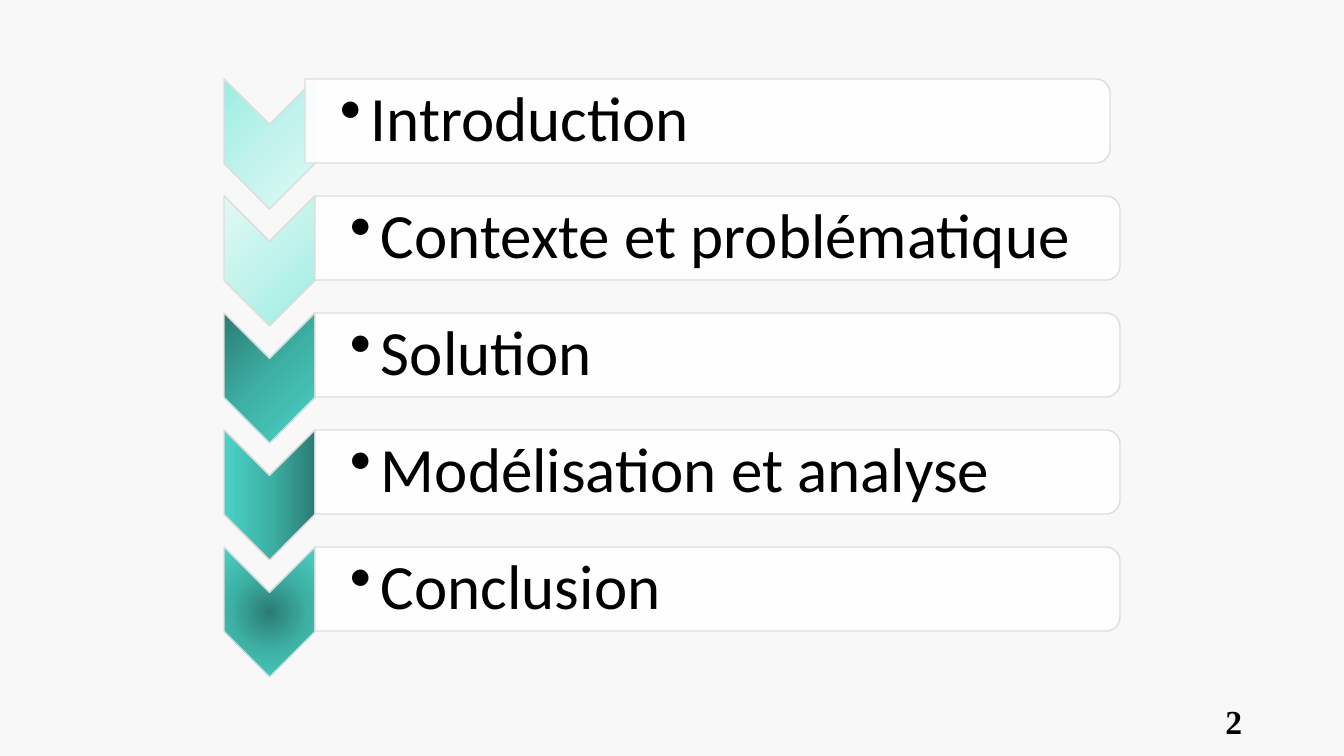
from lxml import etree
from pptx import Presentation
from pptx import util as u
from pptx.dml.color import RGBColor
from pptx.enum import shapes, text
from pptx.oxml import ns

COLORS = {"background": "F8F8F8", "bar": "FFFFFF", "edge": "DDDDDD", "ink": "000000"}
MINT = ("99EEE3", "C1F3EC", "E1F9F5")
TEAL = ("2B7C74", "3EB1A5", "49D2C4")

# Agenda: entry, chevron shades, gradient angle (None = radial), left of bar
AGENDA = [
    ("Introduction", MINT, 45, 305),
    ("Contexte et problématique", MINT, 225, 315),
    ("Solution", TEAL, 45, 315),
    ("Modélisation et analyse", TEAL, 180, 315),
    ("Conclusion", TEAL, None, 315),
]
PAGE_NUMBER = "2"

# Layout in px
SLIDE_W, SLIDE_H = 1344, 756
TOP, STEP = 79, 117
CHEVRON_LEFT, CHEVRON_W, CHEVRON_H = 224, 91, 130
BAR_W, BAR_H = 805, 84
ENTRY_W, ENTRY_H, ENTRY_DROP = 801, 76, 4
HANG = 31


def px(n):
    return u.Emu(round(n * 914400 / 100.8))


def rgb(name):
    return RGBColor.from_string(COLORS[name])


def child(parent, tag, **attrs):
    return etree.SubElement(parent, ns.qn(tag), {k: str(v) for k, v in attrs.items()})


def add_turned(kind, left, top, width, height):
    """Add a shape turned by 90 degrees that covers the given upright box."""
    x, y = left + (width - height) / 2, top + (height - width) / 2
    shape = slide.shapes.add_shape(kind, px(x), px(y), px(height), px(width))
    shape.rotation = 90
    shape.shadow.inherit = False
    shape.line.color.rgb = rgb("edge")
    shape.line.width = u.Pt(1)
    return shape


def shade(shape, shades, angle):
    """Fill with a three-stop gradient that stays upright on a turned shape."""
    shape.fill.background()
    props = shape._element.spPr
    gradient = etree.Element(ns.qn("a:gradFill"), rotWithShape="0")
    stops = child(gradient, "a:gsLst")
    for i, hue in enumerate(shades):
        child(child(stops, "a:gs", pos=i * 50000), "a:srgbClr", val=hue)
    if angle is None:
        radial = child(gradient, "a:path", path="circle")
        child(radial, "a:fillToRect", l=50000, t=50000, r=50000, b=50000)
    else:
        child(gradient, "a:lin", ang=angle * 60000, scaled=0)
    props.replace(props.find(ns.qn("a:noFill")), gradient)


def add_text(words, box, font, size, align, bold=False):
    frame = slide.shapes.add_textbox(*map(px, box)).text_frame
    frame.word_wrap = True
    frame.vertical_anchor = text.MSO_ANCHOR.MIDDLE
    paragraph = frame.paragraphs[0]
    paragraph.alignment = align
    run = paragraph.add_run()
    run.text = words
    run.font.name, run.font.size, run.font.bold = font, u.Pt(size), bold
    run.font.color.rgb = rgb("ink")
    return frame


deck = Presentation()
deck.slide_width, deck.slide_height = px(SLIDE_W), px(SLIDE_H)
slide = deck.slides.add_slide(deck.slide_layouts[6])
slide.background.fill.solid()
slide.background.fill.fore_color.rgb = rgb("background")

# Page number
add_text(PAGE_NUMBER, (950, 701, 302, 40), "Times New Roman", 24,
         text.PP_ALIGN.RIGHT, bold=True)

# Agenda rows
for row, (entry, shades, angle, bar_left) in enumerate(AGENDA):
    top = TOP + row * STEP
    chevron = add_turned(shapes.MSO_SHAPE.CHEVRON, CHEVRON_LEFT, top, CHEVRON_W, CHEVRON_H)
    shade(chevron, shades, angle)

    bar = add_turned(shapes.MSO_SHAPE.ROUND_2_SAME_RECTANGLE, bar_left, top, BAR_W, BAR_H)
    bar.fill.solid()
    bar.fill.fore_color.rgb = rgb("bar")
    child(bar._element.spPr.find(".//" + ns.qn("a:srgbClr")), "a:alpha", val=90000)

    frame = add_text(entry, (bar_left, top + ENTRY_DROP, ENTRY_W, ENTRY_H),
                     "Calibri", 45, text.PP_ALIGN.LEFT)
    frame.margin_left = px(35)
    frame.margin_top = frame.margin_right = frame.margin_bottom = px(3)
    paragraph = frame.paragraphs[0]
    paragraph.level = 1
    paragraph.line_spacing = 0.9
    bullet = paragraph._p.get_or_add_pPr()
    bullet.set("marL", str(px(HANG)))
    bullet.set("indent", str(-px(HANG)))
    child(bullet, "a:buChar", char="•")

deck.save("out.pptx")
